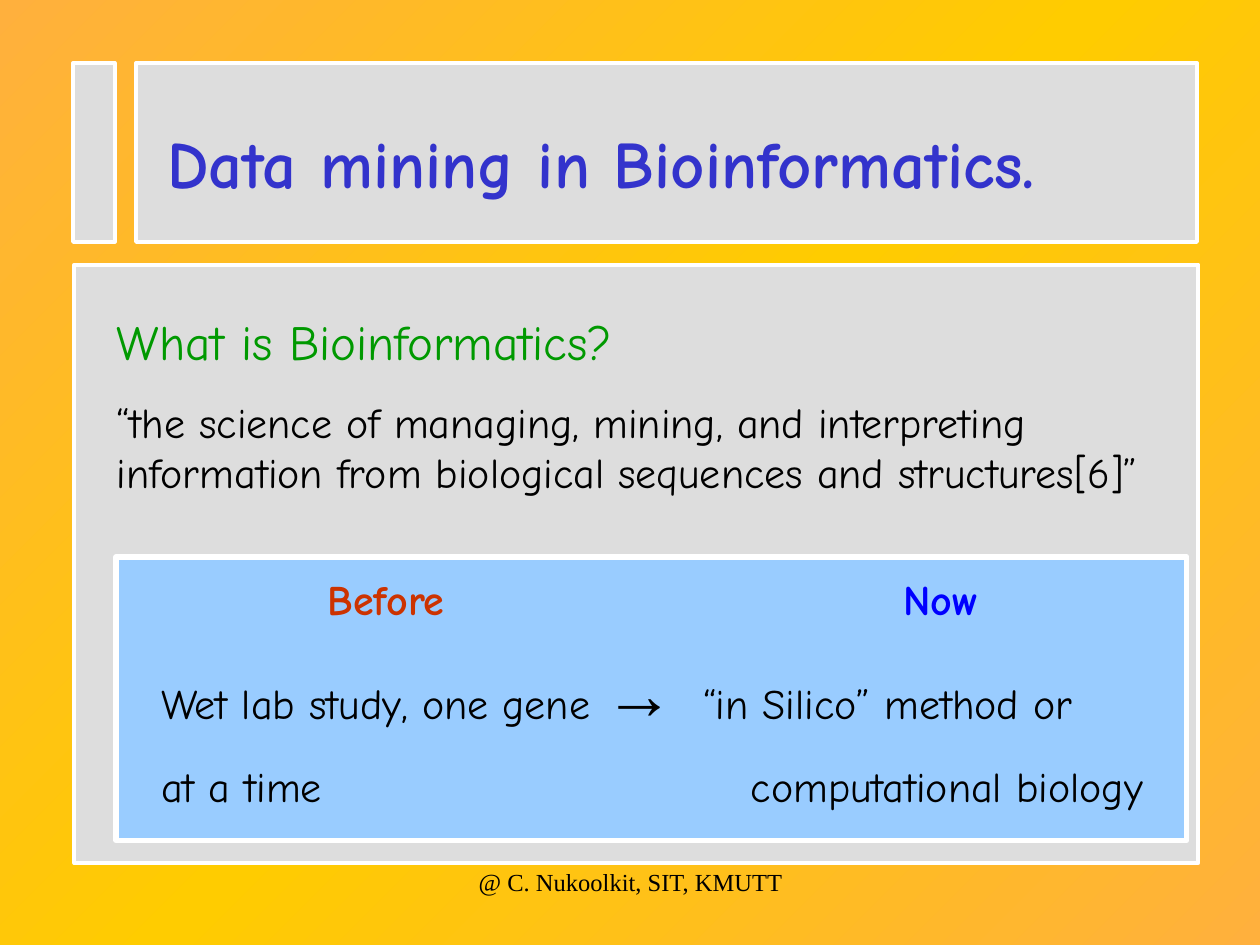
from copy import deepcopy

from pptx import Presentation
from pptx import util as u
from pptx.dml.color import RGBColor
from pptx.enum import shapes, text
from pptx.oxml.ns import qn
from lxml import etree

COMIC = "Comic Neue"


def color(value):
    return RGBColor.from_string(value)


def paint_background(page):
    fill = page.background.fill
    fill.gradient()
    fill.gradient_angle = 135
    stop_list = page._element.find(".//" + qn("a:gsLst"))
    stop_list.append(deepcopy(stop_list[-1]))
    stops = [(0, "FFB03D"), (0.5, "FFCC00"), (1, "FFB03D")]
    for stop, (position, value) in zip(fill.gradient_stops, stops):
        stop.position = position
        stop.color.rgb = color(value)


def add_panel(page, left, top, width, height, fill="DDDDDD", line=2.25):
    panel = page.shapes.add_shape(
        shapes.MSO_SHAPE.RECTANGLE, *map(u.Inches, (left, top, width, height)))
    panel.shadow.inherit = False
    panel.fill.solid()
    panel.fill.fore_color.rgb = color(fill)
    panel.line.color.rgb = color("FFFFFF")
    panel.line.width = u.Pt(line)


def add_box(page, left, top, width, height, inset=0.1):
    box = page.shapes.add_textbox(*map(u.Inches, (left, top, width, height)))
    box.text_frame.word_wrap = True
    box.text_frame.margin_left = u.Inches(inset)
    return box.text_frame


def set_font(font, size=None, name=None, value=None, bold=None):
    if size:
        font.size = u.Pt(size)
    if name:
        font.name = name
    if value:
        font.color.rgb = color(value)
    if bold is not None:
        font.bold = bold


def add_para(frame, spans, size, value="000000", name=COMIC, bold=False, tabs=()):
    first = not frame.paragraphs[0].runs
    para = frame.paragraphs[0] if first else frame.add_paragraph()
    if not first:
        para.space_before = u.Pt(15)
    if tabs:
        tab_list = etree.SubElement(para._p.get_or_add_pPr(), qn("a:tabLst"))
        for position in tabs:
            etree.SubElement(tab_list, qn("a:tab"), pos=str(u.Inches(position)), algn="l")
    set_font(para.font, size, name, value, bold)
    for wording, override in spans:
        span = para.add_run()
        span.text = wording
        set_font(span.font, **override)
    return para


def add_comparison(page):
    add_panel(page, 0.92, 4.42, 8.5, 2.25, "99CCFF", 3)
    frame = add_box(page, 1.08, 4.5, 8.25, 1.99, inset=0.2)
    add_para(frame, [("\tBefore", {"value": "CC3300"}), ("\tNow", {"value": "0000FF"})],
             24, bold=True, tabs=(1.32, 5.89))
    add_para(frame, [("Wet lab study, one gene ", {}),
                     ("→", {"size": 40, "name": "Arial", "bold": True}),
                     ("\t“in Silico” method or", {})], 24, tabs=(4.3,))
    add_para(frame, [("at a time\tcomputational biology", {})], 24, tabs=(4.68,))


def main():
    deck = Presentation()
    deck.slide_width, deck.slide_height = u.Inches(10), u.Inches(7.5)
    page = deck.slides.add_slide(deck.slide_layouts[6])
    paint_background(page)

    add_panel(page, 1.08, 0.5, 8.42, 1.42)
    add_panel(page, 0.59, 2.1, 8.92, 4.75)
    add_panel(page, 0.58, 0.5, 0.33, 1.42)

    title = add_box(page, 1.23, 0.92, 8.35, 0.74)
    add_para(title, [("Data mining in Bioinformatics.", {})], 38, "3333CC", bold=True)

    body = add_box(page, 0.83, 2.42, 8.58, 1.58)
    add_para(body, [("What is Bioinformatics?", {})], 28, "009900")
    add_para(body, [("“the science of managing, mining, and interpreting information "
                     "from biological sequences and structures[6]”", {})], 24)

    add_comparison(page)

    footer = add_box(page, 3.42, 6.83, 3.17, 0.5)
    credit = add_para(footer, [("@ C. Nukoolkit, SIT, KMUTT", {})], 14, name="Times New Roman")
    credit.alignment = text.PP_ALIGN.CENTER

    deck.save("out.pptx")


if __name__ == "__main__":
    main()
